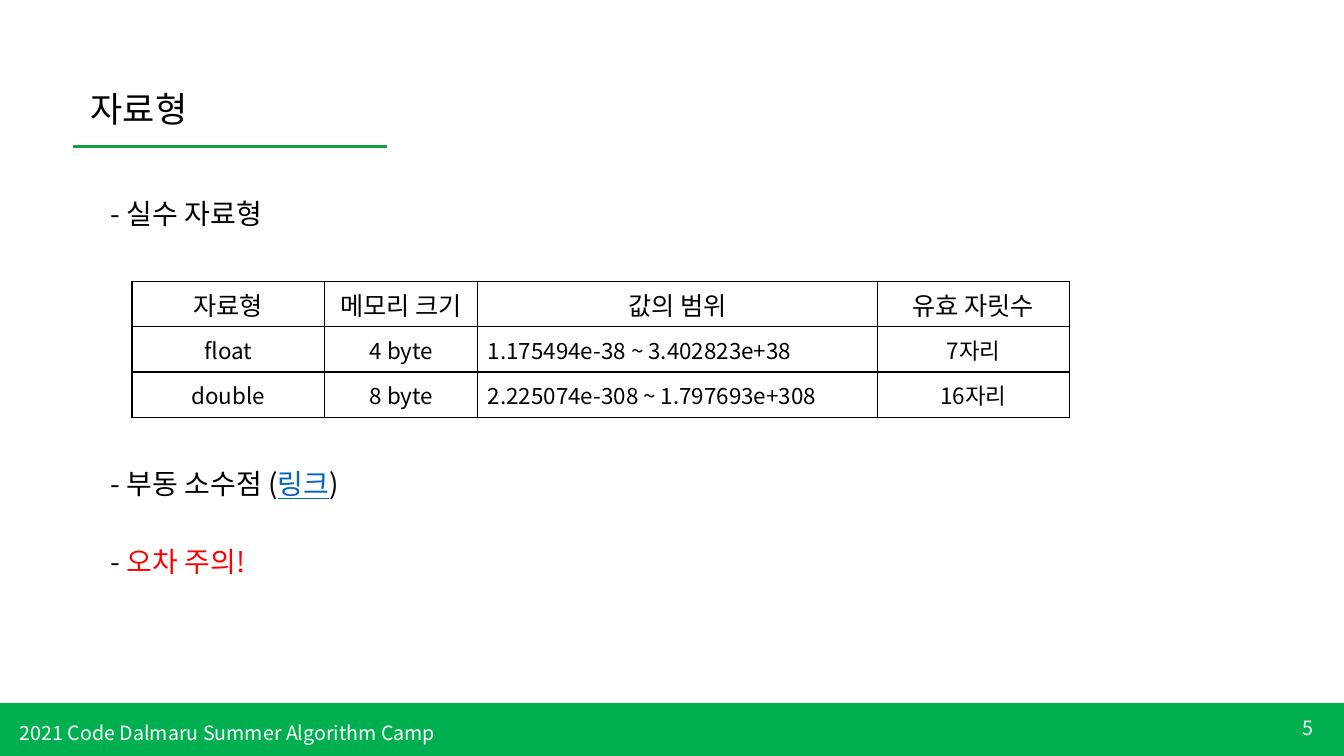
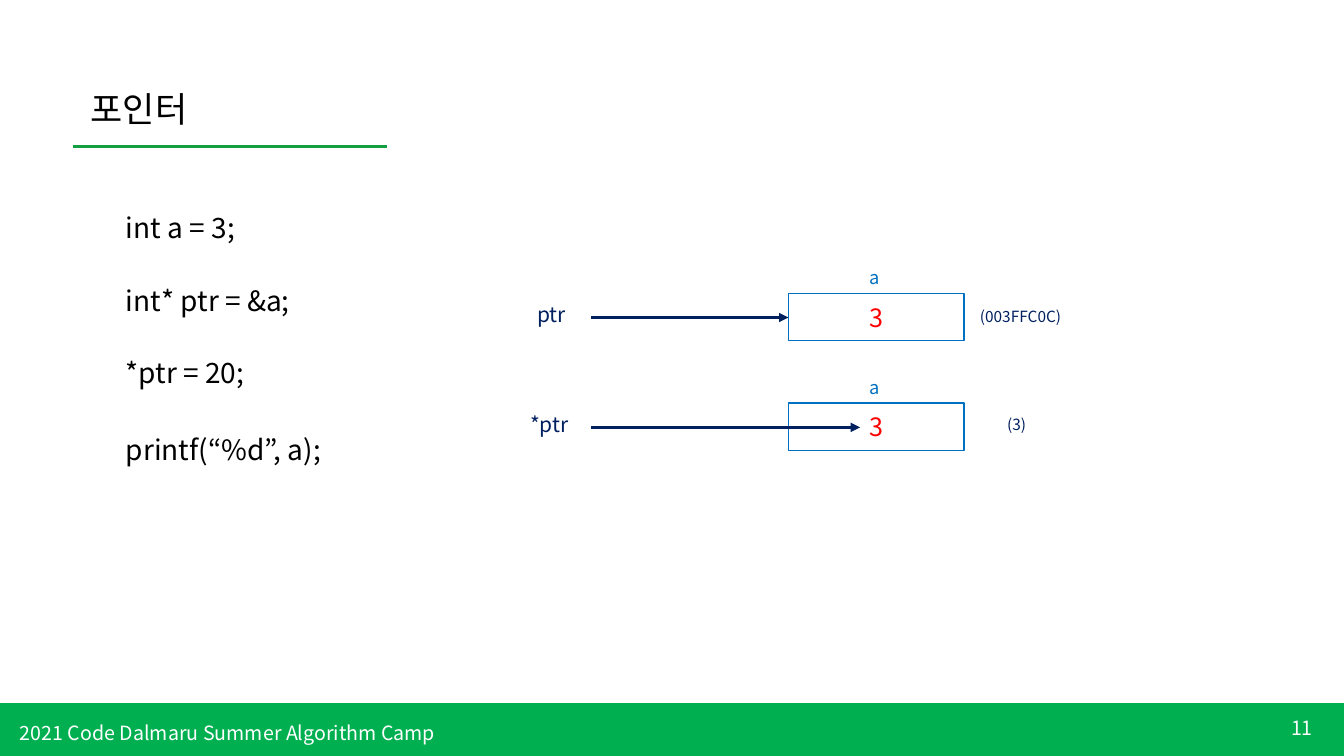
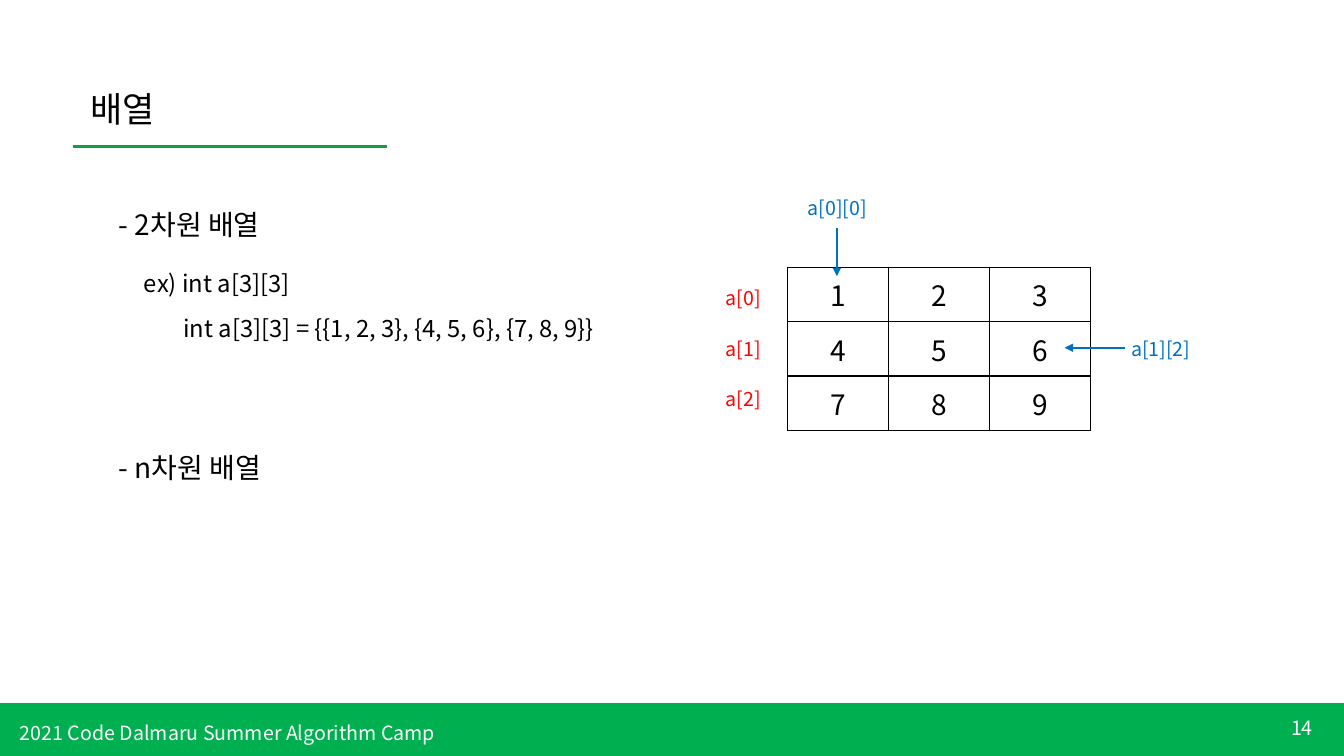
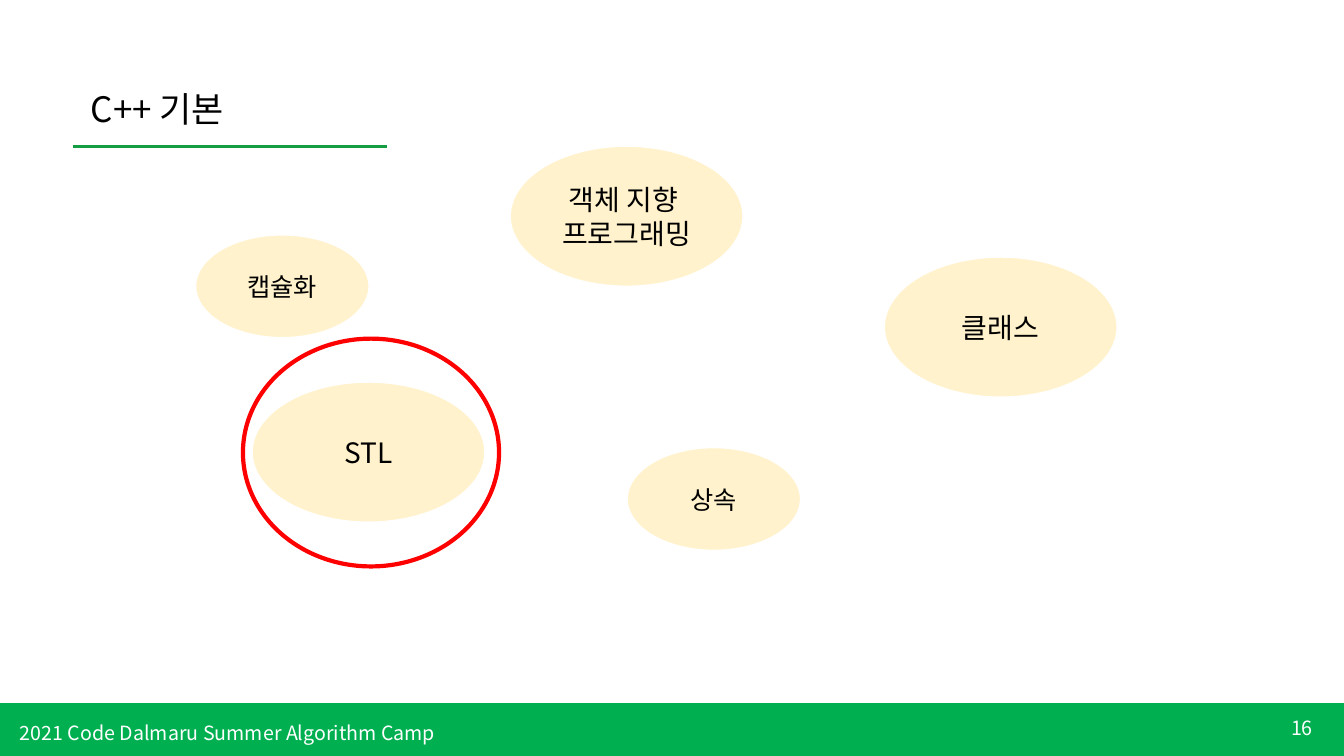
from dataclasses import dataclass
from typing import NamedTuple

from pptx import Presentation
from pptx.dml.color import RGBColor
from pptx.enum.shapes import MSO_CONNECTOR as Conn, MSO_SHAPE as Kind
from pptx.enum.text import MSO_ANCHOR as Anchor, MSO_AUTO_SIZE as Fit, PP_ALIGN as Align
from pptx.oxml.xmlchemy import OxmlElement as make
from pptx.util import Inches, Pt

# Shared style
FONT = "Noto Sans CJK KR"
BLACK, WHITE, RED = "000000", "FFFFFF", "FF0000"
GREEN, RULE = "00B050", "159D41"
BLUE, NAVY, LINK = "0070C0", "002060", "0563C1"
CREAM = "FFF2CC"
WIDE, HIGH = 13.33, 7.5
FOOT = "2021 Code Dalmaru Summer Algorithm Camp"


class Box(NamedTuple):
    left: float
    top: float
    width: float
    height: float


class Run(NamedTuple):
    text: str
    color: str = BLACK
    under: bool = False


@dataclass
class Note:
    """A line of text in its own box."""
    box: Box
    runs: list[Run]
    size: float = 20


@dataclass
class Ref:
    """A pointer expression, its arrow and the cell it leads to."""
    name: str
    left: float
    top: float
    tip: float
    value: str
    value_at: tuple[float, float]


@dataclass
class Topic:
    """An oval with one line of text per entry."""
    lines: list[str]
    left: float
    top: float
    large: bool = True


def tint(code: str) -> RGBColor:
    return RGBColor.from_string(code)


def place(box: Box) -> list[int]:
    return [Inches(n) for n in box]


def write(para, runs: list[Run], size: float, align=Align.LEFT) -> None:
    para.alignment = align
    for part in runs:
        run = para.add_run()
        run.text = part.text
        font = run.font
        font.name, font.size = FONT, Pt(size)
        font.color.rgb = tint(part.color)
        if part.under:
            font.underline = True
        east = make("a:ea")
        east.set("typeface", FONT)
        font._element.append(east)


def label(slide, note: Note, align=Align.LEFT, anchor=Anchor.TOP) -> None:
    frame = slide.shapes.add_textbox(*place(note.box)).text_frame
    frame.word_wrap = True
    frame.vertical_anchor = anchor
    if anchor == Anchor.TOP:
        frame.auto_size = Fit.SHAPE_TO_FIT_TEXT
    write(frame.paragraphs[0], note.runs, note.size, align)


def block(slide, kind, box: Box, fill: str | None, edge: str, weight: float = 1,
          lines: tuple[Run, ...] = (), size: float = 18) -> None:
    shape = slide.shapes.add_shape(kind, *place(box))
    shape.shadow.inherit = False
    if fill:
        shape.fill.solid()
        shape.fill.fore_color.rgb = tint(fill)
    else:
        shape.fill.background()
    shape.line.color.rgb = tint(edge)
    shape.line.width = Pt(weight)
    frame = shape.text_frame
    frame.vertical_anchor = Anchor.MIDDLE
    for i, run in enumerate(lines):
        para = frame.add_paragraph() if i else frame.paragraphs[0]
        write(para, [run], size, Align.CENTER)


def line(slide, start: tuple[float, float], end: tuple[float, float],
         color: str, weight: float, arrow: bool = True) -> None:
    ends = [Inches(n) for n in (*start, *end)]
    link = slide.shapes.add_connector(Conn.STRAIGHT, *ends)
    link.line.color.rgb = tint(color)
    link.line.width = Pt(weight)
    if arrow:
        tip = make("a:tailEnd")
        tip.set("type", "triangle")
        link.line._get_or_add_ln().append(tip)
    link._element.spPr.append(make("a:effectLst"))


def border(cell) -> None:
    props = cell._tc.get_or_add_tcPr()
    for side in ("lnL", "lnR", "lnT", "lnB"):
        edge = make(f"a:{side}")
        edge.set("w", str(Pt(1)))
        fill = make("a:solidFill")
        color = make("a:srgbClr")
        color.set("val", BLACK)
        fill.append(color)
        edge.append(fill)
        props.append(edge)


def grid(slide, left: float, top: float, cols: list[float], high: float,
         rows: list[list[str]], sizes: list[float],
         flush: int | None = None, pad: tuple[float, float] = (0.1, 0.05)) -> None:
    """Draw a table; column `flush` is left-aligned below the first row."""
    box = Box(left, top, sum(cols), high * len(rows))
    table = slide.shapes.add_table(len(rows), len(cols), *place(box)).table
    table.first_row = table.horz_banding = False
    for col, width in zip(table.columns, cols):
        col.width = Inches(width)
    for r, row in enumerate(rows):
        table.rows[r].height = Inches(high)
        for c, text in enumerate(row):
            cell = table.cell(r, c)
            border(cell)
            cell.fill.background()
            cell.vertical_anchor = Anchor.MIDDLE
            cell.margin_left = cell.margin_right = Inches(pad[0])
            cell.margin_top = cell.margin_bottom = Inches(pad[1])
            align = Align.LEFT if r and c == flush else Align.CENTER
            write(cell.text_frame.paragraphs[0], [Run(text)], sizes[r], align)


def start(deck, title: str, page: int):
    """Add a slide with its band, footer, page number and ruled title."""
    slide = deck.slides.add_slide(deck.slide_layouts[5])
    block(slide, Kind.RECTANGLE, Box(0, 6.98, WIDE, 0.52), GREEN, GREEN)
    label(slide, Note(Box(12.12, 7.02, 1, 0.4), [Run(str(page), WHITE)], 14),
          Align.RIGHT, Anchor.MIDDLE)
    label(slide, Note(Box(0.1, 7.1, 5.76, 0.34), [Run(FOOT, WHITE)], 14))
    line(slide, (0.72, 1.45), (3.84, 1.45), RULE, 2.25, arrow=False)
    head = slide.shapes.title
    head.left, head.top, head.width, head.height = place(Box(0.8, 0.82, 3.12, 0.52))
    frame = head.text_frame
    frame.auto_size = Fit.NONE
    frame.vertical_anchor = Anchor.TOP
    write(frame.paragraphs[0], [Run(title)], 25)
    return slide


def types(deck) -> None:
    slide = start(deck, "자료형", 5)
    for top, runs in (
        (1.9, [Run("- 실수 자료형")]),
        (4.58, [Run("- 부동 소수점 ("), Run("링크", LINK, True), Run(")")]),
        (5.35, [Run("- "), Run("오차 주의!", RED)]),
    ):
        label(slide, Note(Box(1, top, 4.19, 0.44), runs))
    rows = [
        ["자료형", "메모리 크기", "값의 범위", "유효 자릿수"],
        ["float", "4 byte", "1.175494e-38 ~ 3.402823e+38", "7자리"],
        ["double", "8 byte", "2.225074e-308 ~ 1.797693e+308", "16자리"],
    ]
    grid(slide, 1.31, 2.79, [1.91, 1.52, 3.96, 1.91], 0.45, rows, [18, 16, 16], flush=2)


def pointers(deck) -> None:
    slide = start(deck, "포인터", 11)
    # Code
    for top, code in ((2.04, "int a = 3;"), (2.76, "int* ptr = &a;"),
                      (3.48, "*ptr = 20;"), (4.24, "printf(“%d”, a);")):
        label(slide, Note(Box(1.15, top, 4.19, 0.44), [Run(code)]))
    # Memory cells
    for ref in (Ref("ptr", 5.23, 2.91, 7.82, "(003FFC0C)", (9.62, 3)),
                Ref("*ptr", 5.16, 4, 8.53, "(3)", (9.89, 4.07))):
        top, mid = ref.top, ref.top + 0.24
        block(slide, Kind.RECTANGLE, Box(7.82, top, 1.74, 0.47), None, BLUE,
              lines=(Run("3", RED),))
        line(slide, (5.86, mid), (ref.tip, mid), NAVY, 2.25)
        name = Box(ref.left, top + 0.03, 5.79 - ref.left, 0.35)
        label(slide, Note(name, [Run(ref.name, NAVY)], 15))
        label(slide, Note(Box(8.53, top - 0.32, 0.47, 0.32), [Run("a", BLUE)], 13))
        label(slide, Note(Box(*ref.value_at, 1.22, 0.29), [Run(ref.value, NAVY)], 11))


def arrays(deck) -> None:
    slide = start(deck, "배열", 14)
    for note in (
        Note(Box(1.08, 2.01, 4.7, 0.44), [Run("- 2차원 배열")]),
        Note(Box(1.33, 2.62, 4.7, 0.39), [Run("ex) int a[3][3]")], 17),
        Note(Box(1.72, 3.06, 5.9, 0.39),
             [Run("int a[3][3] = {{1, 2, 3}, {4, 5, 6}, {7, 8, 9}}")], 17),
        Note(Box(1.08, 4.42, 4.7, 0.44), [Run("- n차원 배열")]),
    ):
        label(slide, note)
    # Matrix with row names
    rows = [[str(3 * r + c + 1) for c in range(3)] for r in range(3)]
    grid(slide, 7.81, 2.65, [3.01 / 3] * 3, 0.54, rows, [20] * 3, pad=(0.13, 0.07))
    for r in range(3):
        box = Box(7.1, 2.79 + 0.5 * r, 0.81, 0.34)
        label(slide, Note(box, [Run(f"a[{r}]", RED)], 14))
    # Marked cells
    for text, left, top, tail, tip in (
        ("a[1][2]", 11.12, 3.29, (11.16, 3.45), (10.56, 3.45)),
        ("a[0][0]", 7.91, 1.89, (8.3, 2.26), (8.3, 2.74)),
    ):
        line(slide, tail, tip, BLUE, 1.5)
        label(slide, Note(Box(left, top, 0.81, 0.34), [Run(text, BLUE)], 14))


def basics(deck) -> None:
    slide = start(deck, "C++ 기본", 16)
    for topic in (
        Topic(["객체 지향 ", "프로그래밍"], 5.06, 1.45),
        Topic(["STL"], 2.5, 3.79),
        Topic(["클래스"], 8.77, 2.55),
        Topic(["상속"], 6.22, 4.44, large=False),
        Topic(["캡슐화"], 1.94, 2.33, large=False),
    ):
        width, height, size = (2.31, 1.39, 20) if topic.large else (1.72, 1.02, 18)
        block(slide, Kind.OVAL, Box(topic.left, topic.top, width, height), CREAM, WHITE,
              lines=tuple(Run(text) for text in topic.lines), size=size)
    # Ring around the chosen topic
    block(slide, Kind.OVAL, Box(2.41, 3.36, 2.54, 2.26), None, RED, 3)


def main() -> None:
    deck = Presentation()
    deck.slide_width, deck.slide_height = Inches(WIDE), Inches(HIGH)
    for build in (types, pointers, arrays, basics):
        build(deck)
    deck.save("out.pptx")


if __name__ == "__main__":
    main()
